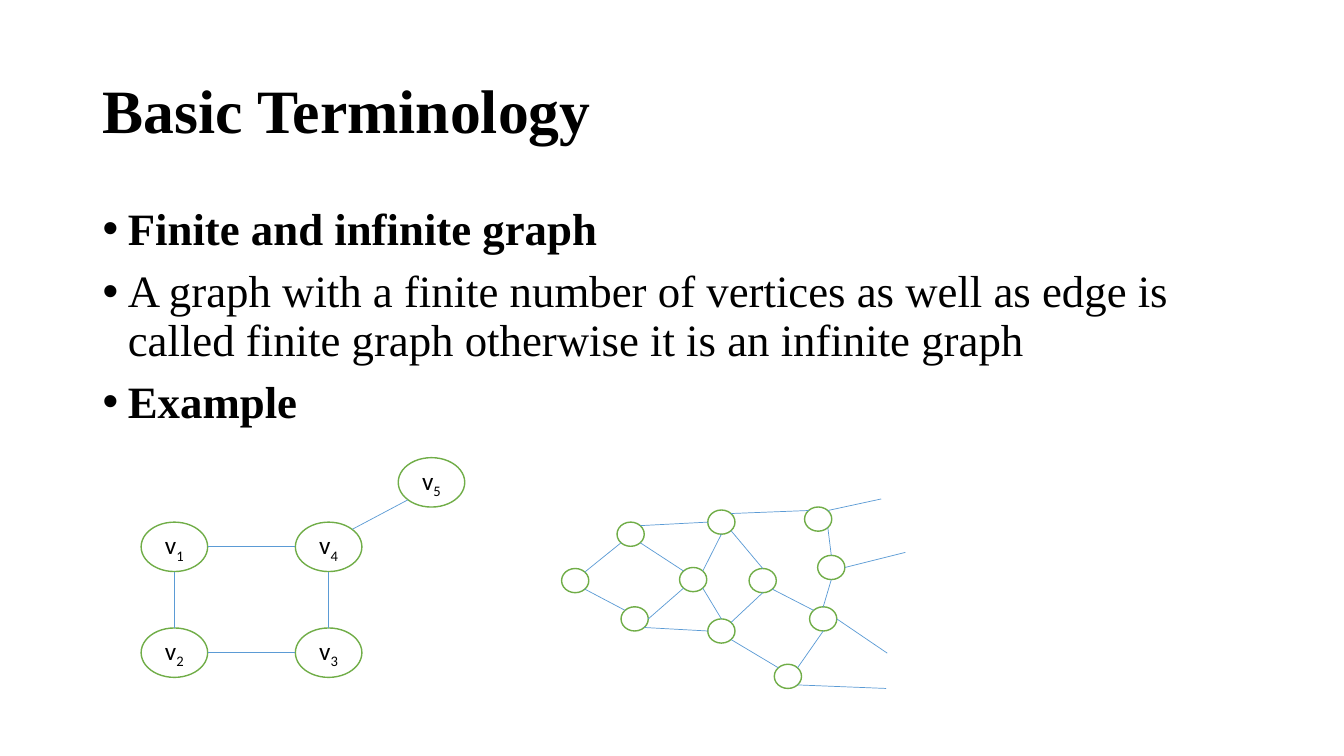
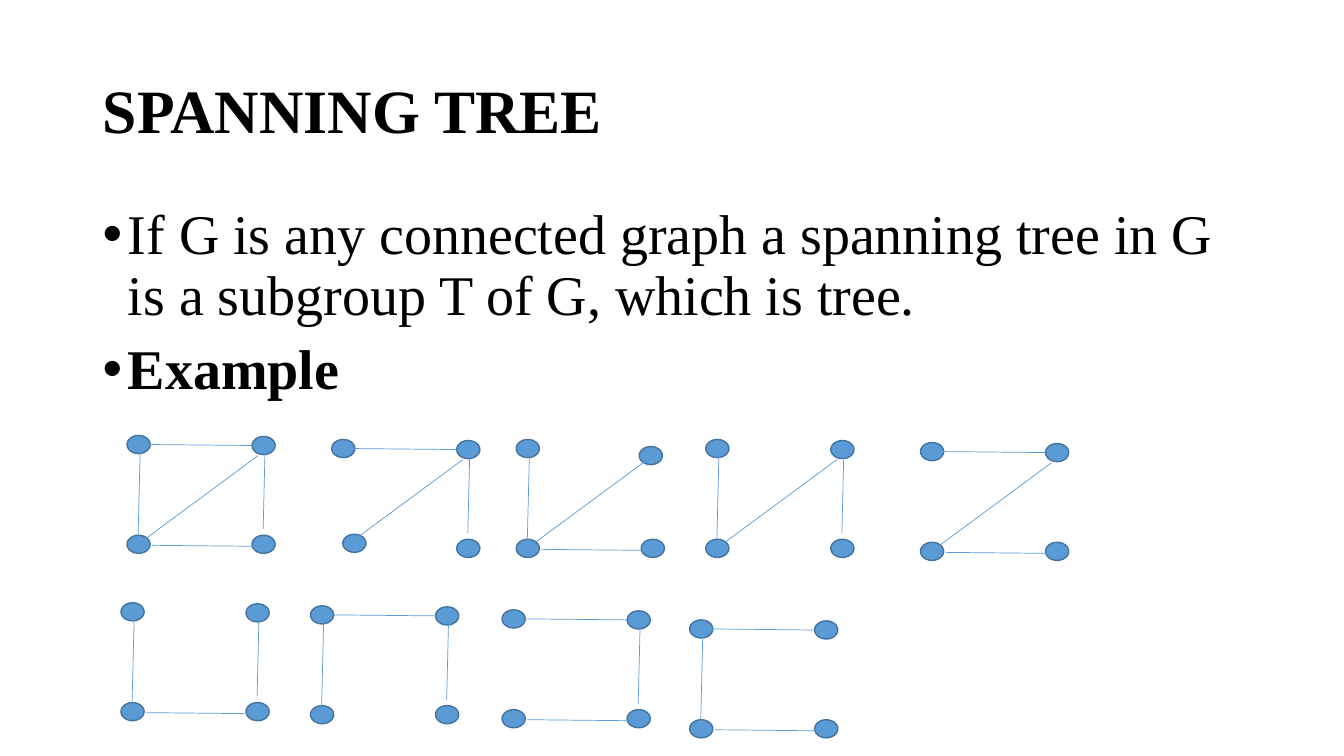
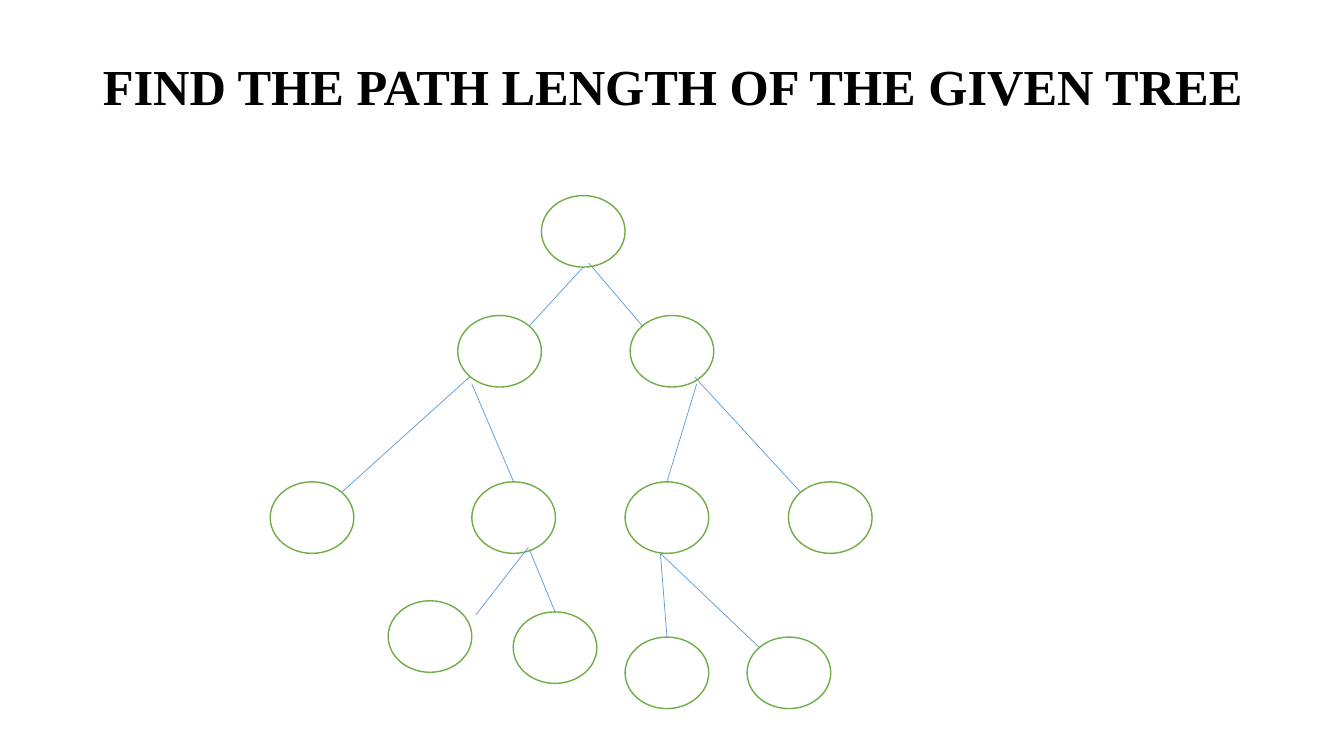
from dataclasses import dataclass
from pptx import Presentation
from pptx.dml.color import RGBColor
from pptx.enum.shapes import MSO_CONNECTOR as Link, MSO_SHAPE as Kind
from pptx.enum.text import MSO_ANCHOR as Anchor, MSO_AUTO_SIZE as Fit, PP_ALIGN as Align
from pptx.oxml.ns import qn
from pptx.util import Inches, Pt
from lxml.etree import SubElement


@dataclass(frozen=True)
class Theme:
    ink: str = "000000"
    white: str = "FFFFFF"
    green: str = "70AD47"
    blue: str = "5B9BD5"
    navy: str = "43739E"
    serif: str = "Times New Roman"
    sans: str = "Calibri"
    title: int = 44
    label: int = 18
    edge: float = 0.5
    rim: float = 1


T = Theme()
TITLE = (0.92, 0.4, 11.5, 1.45)

# Horizontal and vertical share of the radius for each compass point
D = 0.71
SITES = {"n": (0, -1), "ne": (D, -D), "e": (1, 0), "se": (D, D),
         "s": (0, 1), "sw": (-D, D), "w": (-1, 0), "nw": (-D, -D)}

# Square graph: corners of its dots and ends of its edges, from the first dot
DOT = (0.23, 0.18)
DOTS = {"tl": (0, 0), "tr": (1.24, 0.01), "bl": (0, 0.99), "br": (1.24, 0.99)}
SIDES = {"top": ((0.22, 0.09), (1.24, 0.1)),
         "left": ((0.13, 0.17), (0.11, 1)),
         "bottom": ((0.25, 1.09), (1.26, 1.1)),
         "right": ((1.37, 0.1), (1.35, 0.93)),
         "slant": ((1.3, 0.2), (0.19, 1.02))}


def rgb(code):
    return RGBColor.from_string(code)


# Text
def write(para, text, size=T.label, font=T.serif, color=T.ink, bold=False, base=0):
    run = para.add_run()
    run.text = text
    face = run.font
    face.size, face.name, face.bold = Pt(size), font, bold
    face.color.rgb = rgb(color)
    if base:
        run._r.get_or_add_rPr().set("baseline", str(base * 1000))


def bullet(para):
    props = para._p.get_or_add_pPr()
    props.set("marL", str(Inches(0.25)))
    props.set("indent", str(-Inches(0.25)))
    SubElement(props, qn("a:buFont")).set("typeface", "Arial")
    SubElement(props, qn("a:buChar")).set("char", "•")


def start(deck, text, box=TITLE, size=T.title):
    slide = deck.slides.add_slide(deck.slide_layouts[5])
    head = slide.shapes.title
    head.left, head.top, head.width, head.height = map(Inches, box)
    frame = head.text_frame
    frame.auto_size, frame.word_wrap = Fit.NONE, True
    frame.vertical_anchor = Anchor.MIDDLE
    para = frame.paragraphs[0]
    para.alignment, para.line_spacing = Align.LEFT, 0.9
    write(para, text, size=size, bold=True)
    return slide


def body(slide, lines, size, high):
    frame = slide.shapes.add_textbox(*map(Inches, (0.92, 2, 11.5, high))).text_frame
    frame.word_wrap = True
    for i, (text, bold) in enumerate(lines):
        para = frame.add_paragraph() if i else frame.paragraphs[0]
        para.line_spacing, para.space_before = 0.9, Pt(10)
        bullet(para)
        write(para, text, size=size, bold=bold)


# Graph parts
def node(slide, spot, size, kind=Kind.FLOWCHART_CONNECTOR, fill=T.white, rim=T.green, sub=""):
    shape = slide.shapes.add_shape(kind, *map(Inches, (*spot, *size)))
    shape.shadow.inherit = False
    shape.fill.solid()
    shape.fill.fore_color.rgb = rgb(fill)
    shape.line.color.rgb = rgb(rim)
    shape.line.width = Pt(T.rim)
    if sub:
        frame = shape.text_frame
        frame.word_wrap, frame.vertical_anchor = False, Anchor.MIDDLE
        para = frame.paragraphs[0]
        para.alignment = Align.CENTER
        write(para, "v", font=T.sans)
        write(para, sub, font=T.sans, base=-25)


def edge(slide, tail, tip):
    line = slide.shapes.add_connector(Link.STRAIGHT, *map(Inches, (*tail, *tip)))
    line.line.color.rgb = rgb(T.blue)
    line.line.width = Pt(T.edge)
    SubElement(line._element.spPr, qn("a:effectLst"))


def graph(slide, nodes, size, edges, named=False):
    """Edge ends are points, or a node and a compass point such as "A.sw"."""
    def find(end):
        if not isinstance(end, str):
            return end
        name, way = end.split(".")
        return [p + s / 2 * (1 + k) for p, s, k in zip(nodes[name], size, SITES[way])]

    for name, spot in nodes.items():
        node(slide, spot, size, sub=name if named else "")
    for tail, tip in edges:
        edge(slide, find(tail), find(tip))


def square(slide, left, top, sides, **moved):
    def at(spot):
        return left + spot[0], top + spot[1]

    for spot in {**DOTS, **moved}.values():
        node(slide, at(spot), DOT, kind=Kind.OVAL, fill=T.blue, rim=T.navy)
    for side in sides.split():
        edge(slide, *map(at, SIDES[side]))


# Slides
def terms(deck):
    slide = start(deck, "Basic Terminology")
    body(slide, [
        ("Finite and infinite graph", True),
        ("A graph with a finite number of vertices as well as edge is "
         "called finite graph otherwise it is an infinite graph", False),
        ("Example", True)], size=32, high=5.19)
    # Finite graph
    graph(slide, {"1": (1.4, 5.18), "2": (1.4, 6.23), "3": (2.93, 6.23),
                  "4": (2.93, 5.18), "5": (3.95, 4.54)}, (0.66, 0.49),
          [("1.s", "2.n"), ("1.e", "4.w"), ("2.e", "3.w"),
           ("3.n", "4.s"), ("5.sw", "4.ne")], named=True)
    # Infinite graph, with four open edges
    graph(slide, {"A": (6.12, 5.18), "B": (5.57, 5.64), "C": (6.16, 6.02),
                  "D": (6.74, 5.63), "E": (7.02, 5.06), "F": (7.43, 5.64),
                  "G": (7.02, 6.14), "H": (7.68, 6.59), "I": (8.03, 6.02),
                  "J": (8.11, 5.51), "K": (7.98, 5.03)}, (0.27, 0.24),
          [("A.sw", "B.ne"), ("B.se", "C.nw"), ("A.se", "D.nw"), ("A.ne", "E.w"),
           ("C.e", "D.sw"), ("D.se", "G.n"), ("C.se", "G.w"), ("D.ne", "E.s"),
           ("E.ne", "K.nw"), ("E.se", "F.n"), ("G.ne", "F.s"), ("G.se", "H.nw"),
           ("F.se", "I.nw"), ("H.ne", "I.s"), ("J.n", "K.se"), ("I.n", "J.s"),
           ("K.ne", (8.74, 4.95)), ("J.e", (8.98, 5.48)),
           ("I.e", (8.8, 6.48)), ("H.se", (8.79, 6.83))])


def span(deck):
    slide = start(deck, "SPANNING TREE")
    body(slide, [
        ("If G is any connected graph a spanning tree in G "
         "is a subgroup T of G, which is tree.", False),
        ("Example", True)], size=40, high=4.76)
    # The whole graph, then its spanning trees
    square(slide, 1.26, 4.32, "top left bottom right slant")
    square(slide, 3.29, 4.36, "top right slant", bl=(0.11, 0.94))
    square(slide, 5.12, 4.36, "left bottom slant", tr=(1.22, 0.07))
    square(slide, 7, 4.36, "left right slant")
    square(slide, 9.13, 4.39, "top bottom slant")
    square(slide, 1.2, 5.98, "left bottom right")
    square(slide, 3.08, 6.01, "top left right")
    square(slide, 4.98, 6.05, "top bottom right")
    square(slide, 6.84, 6.15, "top left bottom")


def tree(deck):
    slide = start(deck, "FIND THE PATH LENGTH OF THE GIVEN TREE",
                  box=(0.92, 0.3, 11.92, 1.18), size=36)
    # Names spell the way down from the root: L for left, R for right
    graph(slide, {"root": (5.37, 1.94), "L": (4.54, 3.13), "R": (6.25, 3.13),
                  "LL": (2.68, 4.78), "LR": (4.68, 4.78),
                  "RL": (6.2, 4.78), "RR": (7.82, 4.78),
                  "LRL": (3.85, 5.96), "LRR": (5.09, 6.07),
                  "RLL": (6.2, 6.32), "RLR": (7.41, 6.32)}, (0.83, 0.71),
          [("root.s", "L.ne"), ((5.84, 2.61), "R.nw"),
           ("L.sw", "LL.ne"), ((4.68, 3.81), "LR.n"),
           ((6.91, 3.81), "RL.n"), ((6.89, 3.74), "RR.nw"),
           ((5.24, 5.43), (4.72, 6.1)), ((5.25, 5.45), "LRR.n"),
           ((6.55, 5.49), "RLL.n"), ((6.55, 5.49), "RLR.nw")])


def main():
    deck = Presentation()
    deck.slide_width, deck.slide_height = Inches(13.33), Inches(7.5)
    terms(deck)
    span(deck)
    tree(deck)
    deck.save("out.pptx")


if __name__ == "__main__":
    main()
